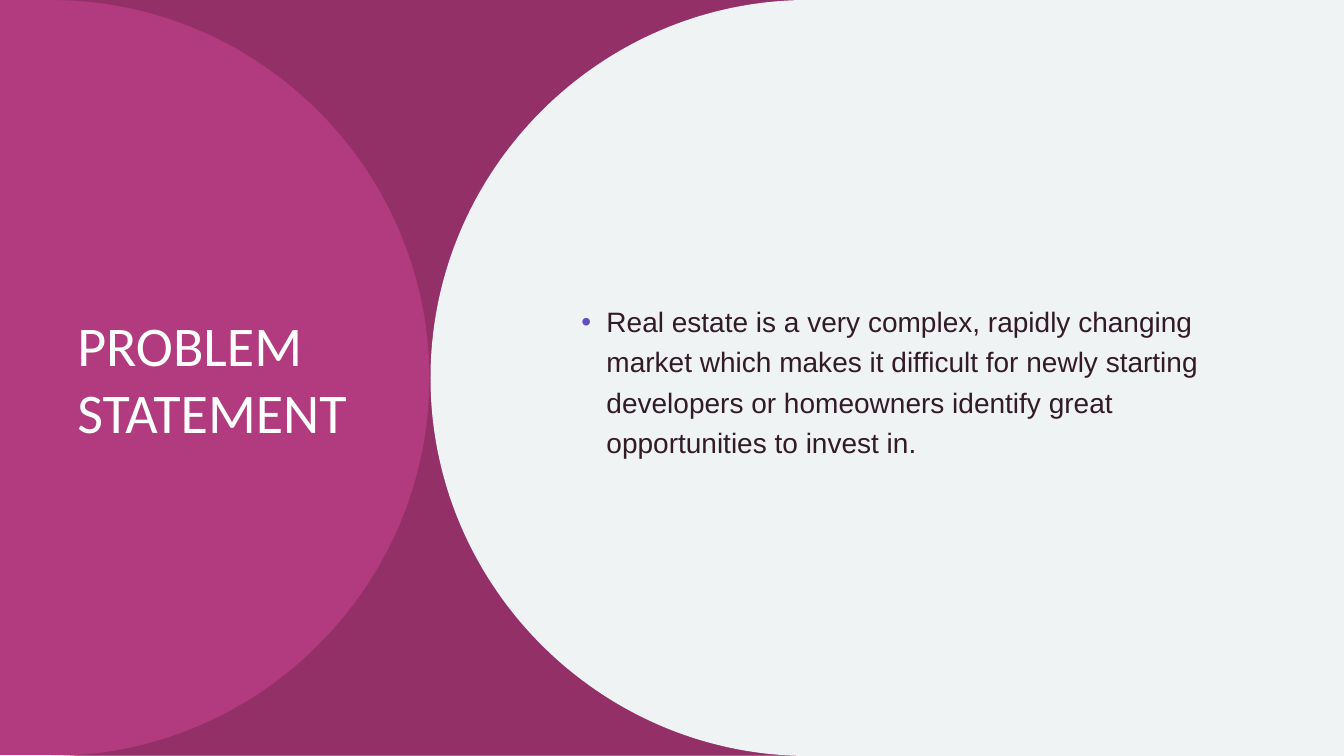
from lxml import etree
from pptx import Presentation
from pptx import util as u
from pptx.dml.color import RGBColor
from pptx.enum import shapes, text
from pptx.oxml.ns import qn

PX = 9525  # EMU per px, 96 px to the inch
WIDTH, HEIGHT = 1280, 720
RADIUS = HEIGHT // 2
HANDLE = 0.55 * RADIUS  # Bezier handle of a quarter circle

PALE = RGBColor(0xF0, 0xF3, 0xF3)
PINK = RGBColor(0xB1, 0x3B, 0x7E)
PLUM = RGBColor(0x85, 0x2C, 0x5E)
WHITE = RGBColor(0xFF, 0xFF, 0xFF)
INK = RGBColor(0x30, 0x1B, 0x27)
BULLET = RGBColor(0x62, 0x4D, 0xC3)


def px(n):
    return u.Emu(round(n * PX))


def paint(shape, color, alpha=None):
    shape.shadow.inherit = False
    shape.fill.solid()
    shape.fill.fore_color.rgb = color
    shape.line.fill.background()
    if alpha is not None:
        clr = shape.element.spPr.find(qn("a:solidFill") + "/" + qn("a:srgbClr"))
        etree.SubElement(clr, qn("a:alpha"), val=str(alpha * 1000))


def add_panel(s, x, y, w, h, color):
    panel = s.shapes.add_shape(shapes.MSO_SHAPE.RECTANGLE, px(x), px(y), px(w), px(h))
    paint(panel, color)


def bend(shape, line, points):
    """Turn a straight outline segment into a cubic curve."""
    curve = etree.Element(qn("a:cubicBezTo"))
    for x, y in points:
        etree.SubElement(curve, qn("a:pt"), x=str(px(x) - shape.left), y=str(px(y) - shape.top))
    line.getparent().replace(line, curve)


def add_round_panel(s, center_x, right, side, color, alpha=None):
    """Full-height panel whose left edge is a half circle; side 1 cuts in, -1 bulges out."""
    tip, handle_x = center_x + side * RADIUS, center_x + side * HANDLE
    corners = [(tip, RADIUS), (center_x, HEIGHT), (right, HEIGHT), (right, 0)]
    builder = s.shapes.build_freeform(px(center_x), 0)
    builder.add_line_segments([(px(x), px(y)) for x, y in corners], close=True)
    shape = builder.convert_to_shape()
    upper, lower = list(shape.element.iter(qn("a:lnTo")))[:2]
    bend(shape, upper, [(handle_x, 0), (tip, RADIUS - HANDLE), (tip, RADIUS)])
    bend(shape, lower, [(tip, RADIUS + HANDLE), (handle_x, HEIGHT), (center_x, HEIGHT)])
    paint(shape, color, alpha)


def fill_placeholder(s, ph, x, y, w, h, words, font, size, color):
    s.shapes.element.append(ph.element)  # bring in front of the panels
    ph.left, ph.top, ph.width, ph.height = px(x), px(y), px(w), px(h)
    tf = ph.text_frame
    tf.text = words
    tf.word_wrap = True
    tf.auto_size = text.MSO_AUTO_SIZE.NONE
    tf.vertical_anchor = text.MSO_ANCHOR.MIDDLE
    p = tf.paragraphs[0]
    p.alignment = text.PP_ALIGN.LEFT
    for r in p.runs:
        r.font.name, r.font.size = font, u.Pt(size)
        r.font.color.rgb = color
    return p


def add_title(s, x, y, w, h):
    fill_placeholder(s, s.shapes.title, x, y, w, h,
                     "PROBLEM\vSTATEMENT", "Calibri", 40, WHITE)


def add_body(s, x, y, w, h):
    p = fill_placeholder(
        s, s.placeholders[1], x, y, w, h,
        "Real estate is a very complex, rapidly changing market which makes it "
        "difficult for newly starting developers or homeowners identify great "
        "opportunities to invest in.", "Arial", 20, INK)
    p.line_spacing = 1.2
    p.space_before = u.Pt(10)
    pPr = p._p.get_or_add_pPr()
    pPr.set("marL", str(px(24)))
    pPr.set("indent", str(px(-24)))
    clr = etree.SubElement(pPr, qn("a:buClr"))
    etree.SubElement(clr, qn("a:srgbClr"), val=str(BULLET))
    etree.SubElement(pPr, qn("a:buFont"), typeface="Arial")
    etree.SubElement(pPr, qn("a:buChar"), char="•")


def add_statement_slide(prs):
    s = prs.slides.add_slide(prs.slide_layouts[1])
    s.background.fill.solid()
    s.background.fill.fore_color.rgb = PALE
    # Coloured panels, back to front
    add_panel(s, 0, 0, WIDTH, HEIGHT, PALE)
    add_panel(s, -1, 0, 827, 719, PINK)
    add_round_panel(s, 49, 821, 1, PLUM, alpha=70)
    add_round_panel(s, 770, 1036, -1, PALE)
    # Title and statement
    add_title(s, 64, 72, 310, 576)
    add_body(s, 544, 72, 640, 577)


def main():
    prs = Presentation()
    prs.slide_width, prs.slide_height = px(WIDTH), px(HEIGHT)
    add_statement_slide(prs)
    prs.save("out.pptx")


if __name__ == "__main__":
    main()
